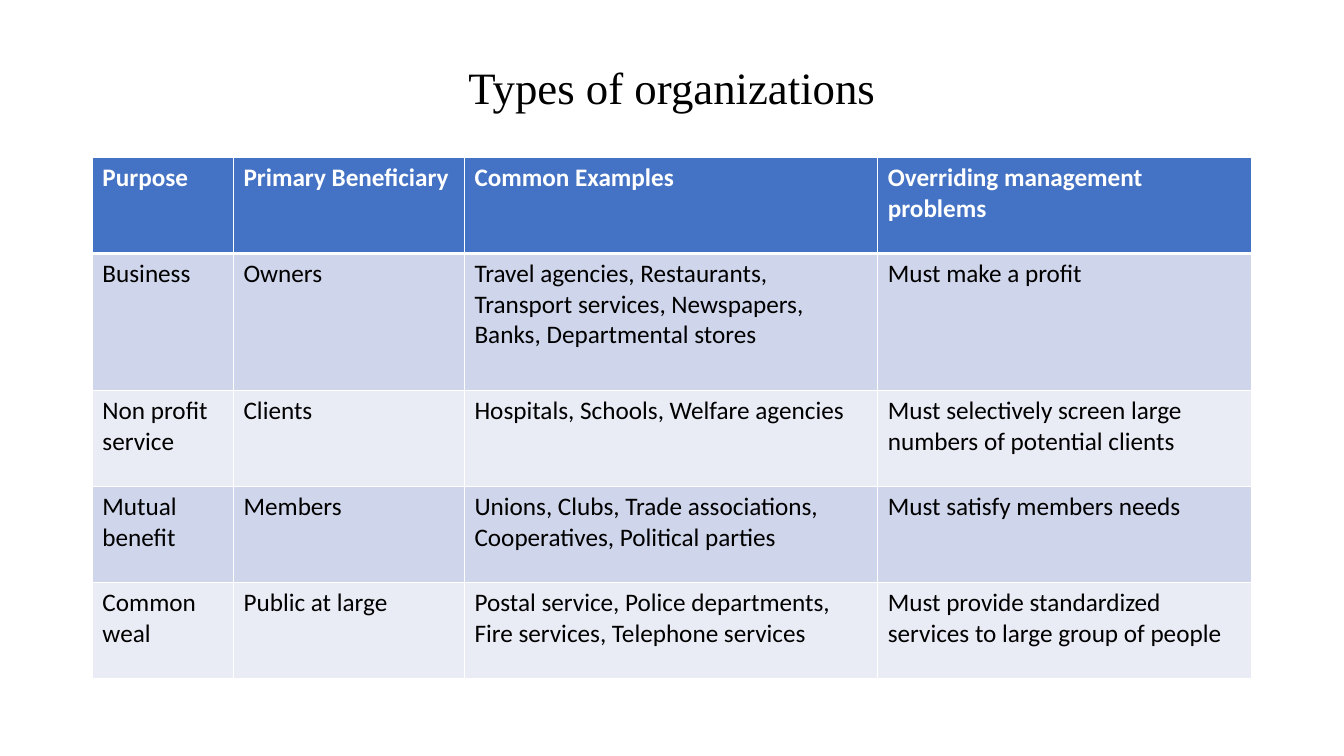
from lxml.etree import SubElement
from pptx import Presentation
from pptx.dml.color import RGBColor
from pptx.enum.text import MSO_ANCHOR, PP_ALIGN
from pptx.oxml.ns import qn
from pptx.util import Pt

BLACK = RGBColor(0x00, 0x00, 0x00)
WHITE = RGBColor(0xFF, 0xFF, 0xFF)
HEADER_BLUE = RGBColor(0x44, 0x72, 0xC4)
BAND_DARK = RGBColor(0xCF, 0xD5, 0xEA)
BAND_LIGHT = RGBColor(0xE9, 0xEB, 0xF5)

COLUMN_WIDTHS = (100.8, 165, 295.2, 267)
ROW_HEIGHTS = (68.6, 98, 68.6, 68.6, 68.6)
ORGANIZATIONS = (
    ("Purpose", "Primary Beneficiary", "Common Examples",
     "Overriding management problems"),
    ("Business", "Owners",
     "Travel agencies, Restaurants, Transport services, Newspapers, "
     "Banks, Departmental stores",
     "Must make a profit"),
    ("Non profit service", "Clients", "Hospitals, Schools, Welfare agencies",
     "Must selectively screen large numbers of potential clients"),
    ("Mutual benefit", "Members",
     "Unions, Clubs, Trade associations, Cooperatives, Political parties",
     "Must satisfy members needs"),
    ("Common weal", "Public at large",
     "Postal service, Police departments, Fire services, Telephone services",
     "Must provide standardized services to large group of people"),
)


class SlideBuilder:
    title_font = "Times New Roman"
    table_font = "Calibri"
    title_size = 32
    table_size = 18
    thin_border = 1
    header_border = 3

    def __init__(self, slide):
        self.slide = slide

    def format_text(self, paragraph, font_name, size, color, bold=False):
        font = paragraph.font
        font.name = font_name
        font.size = Pt(size)
        font.color.rgb = color
        font.bold = bold

    def title(self, text, left, top, width, height):
        box = self.slide.shapes.title
        box.left, box.top = Pt(left), Pt(top)
        box.width, box.height = Pt(width), Pt(height)
        frame = box.text_frame
        frame.text = text
        frame.vertical_anchor = MSO_ANCHOR.MIDDLE
        paragraph = frame.paragraphs[0]
        paragraph.alignment = PP_ALIGN.CENTER
        paragraph.line_spacing = 0.9
        self.format_text(paragraph, self.title_font, self.title_size, BLACK)

    def table(self, rows, left, top, widths, heights):
        """Add a table with a header row and alternating body bands."""
        frame = self.slide.shapes.add_table(
            len(rows), len(widths), Pt(left), Pt(top),
            Pt(sum(widths)), Pt(sum(heights)))
        table = frame.table
        for column, width in zip(table.columns, widths):
            column.width = Pt(width)
        for row_index, texts in enumerate(rows):
            table.rows[row_index].height = Pt(heights[row_index])
            for column_index, text in enumerate(texts):
                self.cell(table.cell(row_index, column_index), text, row_index)

    def cell(self, cell, text, row_index):
        is_header = row_index == 0
        cell.text = text
        self.format_text(cell.text_frame.paragraphs[0], self.table_font,
                         self.table_size, WHITE if is_header else BLACK,
                         is_header)
        self.borders(cell, row_index)
        cell.fill.solid()
        band = BAND_DARK if row_index % 2 else BAND_LIGHT
        cell.fill.fore_color.rgb = HEADER_BLUE if is_header else band

    def borders(self, cell, row_index):
        """Draw white cell edges, thicker between header and body."""
        properties = cell._tc.get_or_add_tcPr()
        thick_edge = {0: "lnB", 1: "lnT"}.get(row_index)
        for edge in ("lnL", "lnR", "lnT", "lnB"):
            width = self.header_border if edge == thick_edge else self.thin_border
            line = SubElement(properties, qn(f"a:{edge}"), w=str(Pt(width)))
            fill = SubElement(line, qn("a:solidFill"))
            SubElement(fill, qn("a:srgbClr"), val=str(WHITE))


def main():
    deck = Presentation()
    deck.slide_width, deck.slide_height = Pt(960), Pt(540)
    title_only = deck.slide_layouts[5]
    builder = SlideBuilder(deck.slides.add_slide(title_only))
    builder.title("Types of organizations", 66, 28.75, 828, 71.25)
    builder.table(ORGANIZATIONS, 66, 112.4, COLUMN_WIDTHS, ROW_HEIGHTS)
    deck.save("out.pptx")


if __name__ == "__main__":
    main()
